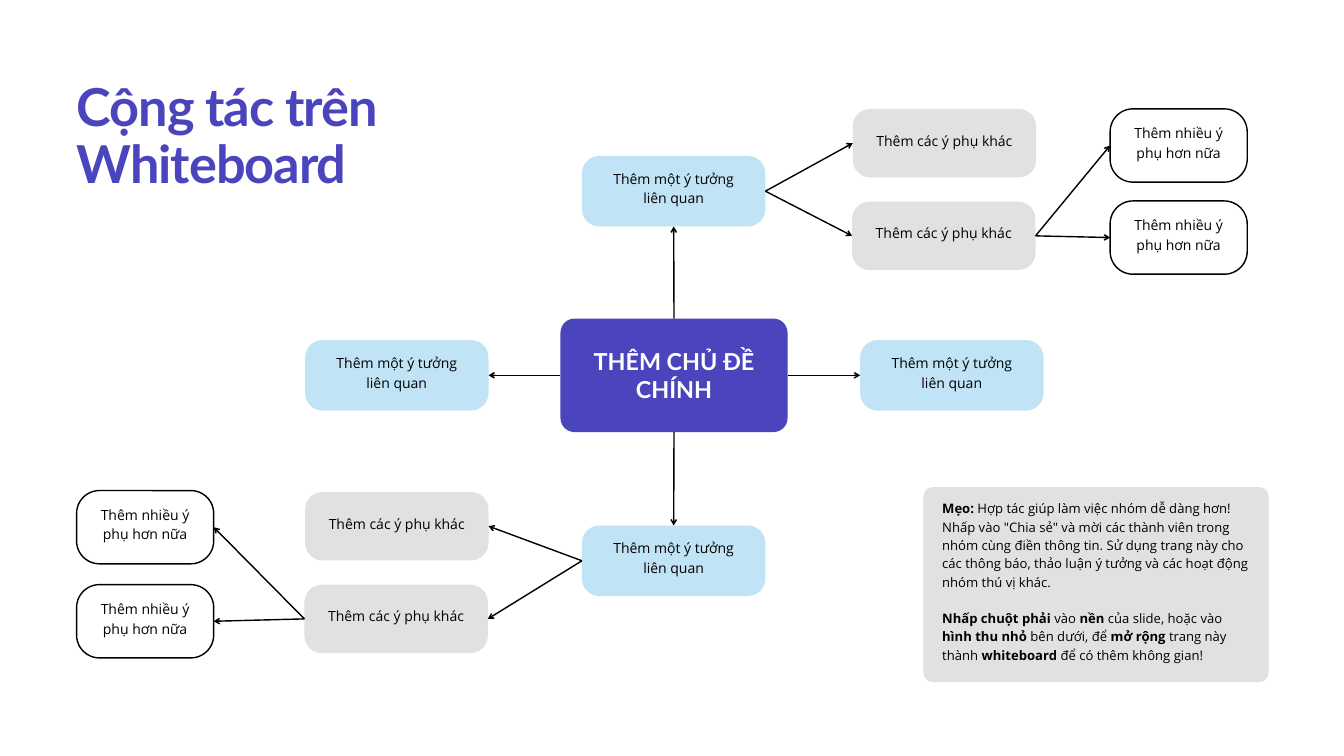
from lxml.etree import SubElement
from pptx import Presentation
from pptx.dml.color import RGBColor
from pptx.enum.shapes import MSO_CONNECTOR, MSO_SHAPE
from pptx.enum.text import MSO_ANCHOR, PP_ALIGN
from pptx.oxml.ns import qn
from pptx.util import Inches, Pt

PURPLE, BLUE, GRAY, BLACK, WHITE = "4A44BD", "C0E4F6", "E1E1E1", "000000", "FFFFFF"
TOP, LEFT, BOTTOM, RIGHT = range(4)
PADDING = 0.28

TITLE = ["Cộng tác trên", "Whiteboard"]
MAIN_TOPIC = ["THÊM CHỦ ĐỀ CHÍNH"]
RELATED_IDEA = ["Thêm một ý tưởng", "liên quan"]
SUB_IDEA = ["Thêm các ý phụ khác"]
DETAIL = ["Thêm nhiều ý phụ hơn nữa"]
TIP = [
    [
        ("Mẹo:", True),
        (
            " Hợp tác giúp làm việc nhóm dễ dàng hơn! Nhấp vào \"Chia sẻ\" và mời các "
            "thành viên trong nhóm cùng điền thông tin. Sử dụng trang này cho các thông "
            "báo, thảo luận ý tưởng và các hoạt động nhóm thú vị khác.",
            False,
        ),
    ],
    [
        ("Nhấp chuột phải", True),
        (" vào ", False),
        ("nền", True),
        (" của slide, hoặc vào ", False),
        ("hình thu nhỏ", True),
        (" bên dưới, để ", False),
        ("mở rộng", True),
        (" trang này thành ", False),
        ("whiteboard", True),
        (" để có thêm không gian!", False),
    ],
]

TITLE_TEXT = {"font": "Lato", "size": 56, "color": PURPLE, "bold": True,
              "line": 61.6, "align": PP_ALIGN.LEFT, "tracking": -110}
MAIN_TEXT = {"font": "Lato", "size": 25, "color": WHITE, "bold": True,
             "line": 30, "align": PP_ALIGN.CENTER}
NODE_TEXT = {"font": "Open Sans", "size": 15, "color": BLACK, "bold": False,
             "line": 21, "align": PP_ALIGN.CENTER}
TIP_TEXT = {**NODE_TEXT, "size": 14, "line": 19.6, "gap": 19.6, "align": PP_ALIGN.LEFT}

STYLES = {
    "main": {"size": (3.38, 1.69), "radius": 0.21, "fill": PURPLE, "lift": 0, "text": MAIN_TEXT},
    "idea": {"size": (2.73, 1.05), "radius": 0.26, "fill": BLUE, "lift": 0.12, "text": NODE_TEXT},
    "sub": {"size": (2.73, 1.02), "radius": 0.26, "fill": GRAY, "lift": 0.12, "text": NODE_TEXT},
    "detail": {"size": (2.04, 1.09), "radius": 0.34, "fill": None, "lift": 0.12, "text": NODE_TEXT},
    "tip": {"size": (5.14, 2.9), "radius": 0.14, "fill": GRAY, "lift": 0.12, "text": TIP_TEXT},
}

NODES = [
    ("main", "main", (8.34, 4.74), MAIN_TOPIC),
    ("idea left", "idea", (4.54, 5.06), RELATED_IDEA),
    ("idea top", "idea", (8.66, 2.32), RELATED_IDEA),
    ("idea bottom", "idea", (8.66, 7.82), RELATED_IDEA),
    ("idea right", "idea", (12.8, 5.06), RELATED_IDEA),
    ("sub right 1", "sub", (12.69, 1.62), SUB_IDEA),
    ("sub right 2", "sub", (12.68, 3), SUB_IDEA),
    ("sub left 1", "sub", (4.54, 7.32), SUB_IDEA),
    ("sub left 2", "sub", (4.53, 8.7), SUB_IDEA),
    ("detail right 1", "detail", (16.52, 1.62), DETAIL),
    ("detail right 2", "detail", (16.52, 2.99), DETAIL),
    ("detail left 1", "detail", (1.14, 7.3), DETAIL),
    ("detail left 2", "detail", (1.14, 8.7), DETAIL),
    ("tip", "tip", (13.74, 7.25), TIP),
]

BRANCHES = [
    ("main", RIGHT, ["idea right"]),
    ("main", TOP, ["idea top"]),
    ("main", BOTTOM, ["idea bottom"]),
    ("main", LEFT, ["idea left"]),
    ("idea top", RIGHT, ["sub right 1", "sub right 2"]),
    ("sub right 2", RIGHT, ["detail right 1", "detail right 2"]),
    ("idea bottom", LEFT, ["sub left 1", "sub left 2"]),
    ("sub left 2", LEFT, ["detail left 1", "detail left 2"]),
]


def color(value):
    return RGBColor.from_string(value)


def set_attributes(target, values):
    for name, value in values.items():
        setattr(target, name, value)


def write_text(text_frame, paragraphs, style):
    for index, content in enumerate(paragraphs):
        paragraph = text_frame.paragraphs[0] if index == 0 else text_frame.add_paragraph()
        set_attributes(paragraph, {
            "alignment": style["align"],
            "line_spacing": Pt(style["line"]),
            "space_before": Pt(style.get("gap", 0) if index else 0),
        })
        runs = [(content, style["bold"])] if isinstance(content, str) else content
        for text, bold in runs:
            run = paragraph.add_run()
            run.text = text
            set_attributes(run.font, {"name": style["font"], "size": Pt(style["size"]), "bold": bold})
            run.font.color.rgb = color(style["color"])
            if "tracking" in style:
                run.font._element.set("spc", str(style["tracking"]))


def add_node(slide, style, position, paragraphs):
    width, height = style["size"]
    shape = slide.shapes.add_shape(
        MSO_SHAPE.ROUNDED_RECTANGLE, *map(Inches, (*position, width, height)))
    shape.shadow.inherit = False
    shape.adjustments[0] = style["radius"] / height
    if style["fill"]:
        shape.fill.solid()
        shape.fill.fore_color.rgb = color(style["fill"])
        shape.line.fill.background()
    else:
        shape.fill.background()
        shape.line.color.rgb = color(BLACK)
        shape.line.width = Pt(1.5)
    inset = PADDING - 0.29 * style["radius"]
    set_attributes(shape.text_frame, {
        "word_wrap": True,
        "vertical_anchor": MSO_ANCHOR.MIDDLE,
        "margin_left": Inches(inset),
        "margin_right": Inches(inset),
        "margin_top": Inches(inset - style["lift"]),
        "margin_bottom": Inches(inset),
    })
    write_text(shape.text_frame, paragraphs, style["text"])
    return shape


def add_arrow(slide, parent, side, child):
    connector = slide.shapes.add_connector(MSO_CONNECTOR.STRAIGHT, 0, 0, 0, 0)
    connector.begin_connect(parent, side)
    connector.end_connect(child, (side + 2) % 4)
    connector.line.color.rgb = color(BLACK)
    connector.line.width = Pt(1.5)
    SubElement(connector.line._get_or_add_ln(), qn("a:tailEnd"), type="arrow")
    SubElement(connector._element.spPr, qn("a:effectLst"))


def add_title(slide):
    shape = slide.shapes.add_textbox(*map(Inches, (1.14, 1.18, 6.23, 1.73)))
    set_attributes(shape.text_frame, {
        "word_wrap": True,
        "margin_left": 0,
        "margin_right": 0,
        "margin_top": 0,
        "margin_bottom": 0,
    })
    write_text(shape.text_frame, TITLE, TITLE_TEXT)


def main():
    presentation = Presentation()
    set_attributes(presentation, {"slide_width": Inches(20), "slide_height": Inches(11.25)})
    slide = presentation.slides.add_slide(presentation.slide_layouts[6])
    shapes = {
        name: add_node(slide, STYLES[kind], position, paragraphs)
        for name, kind, position, paragraphs in NODES
    }
    for parent, side, children in BRANCHES:
        for child in children:
            add_arrow(slide, shapes[parent], side, shapes[child])
    add_title(slide)
    presentation.save("out.pptx")


if __name__ == "__main__":
    main()
